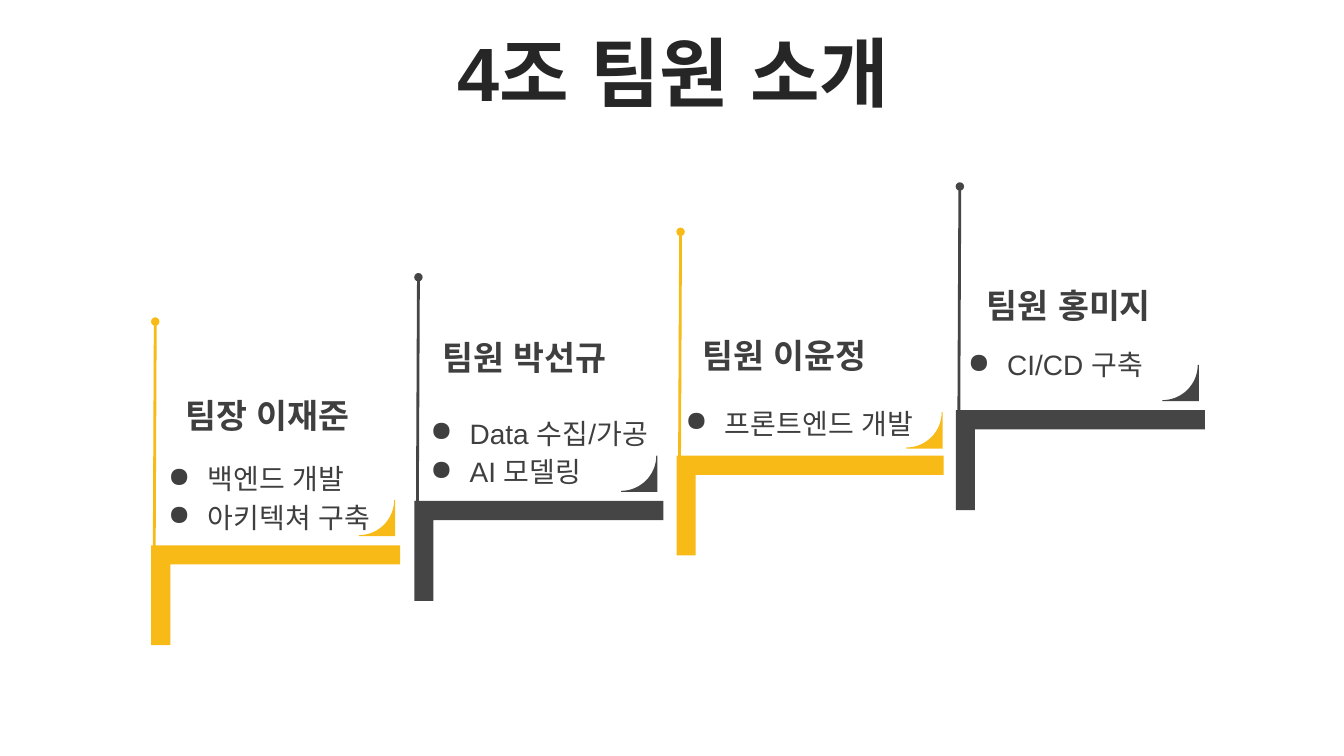
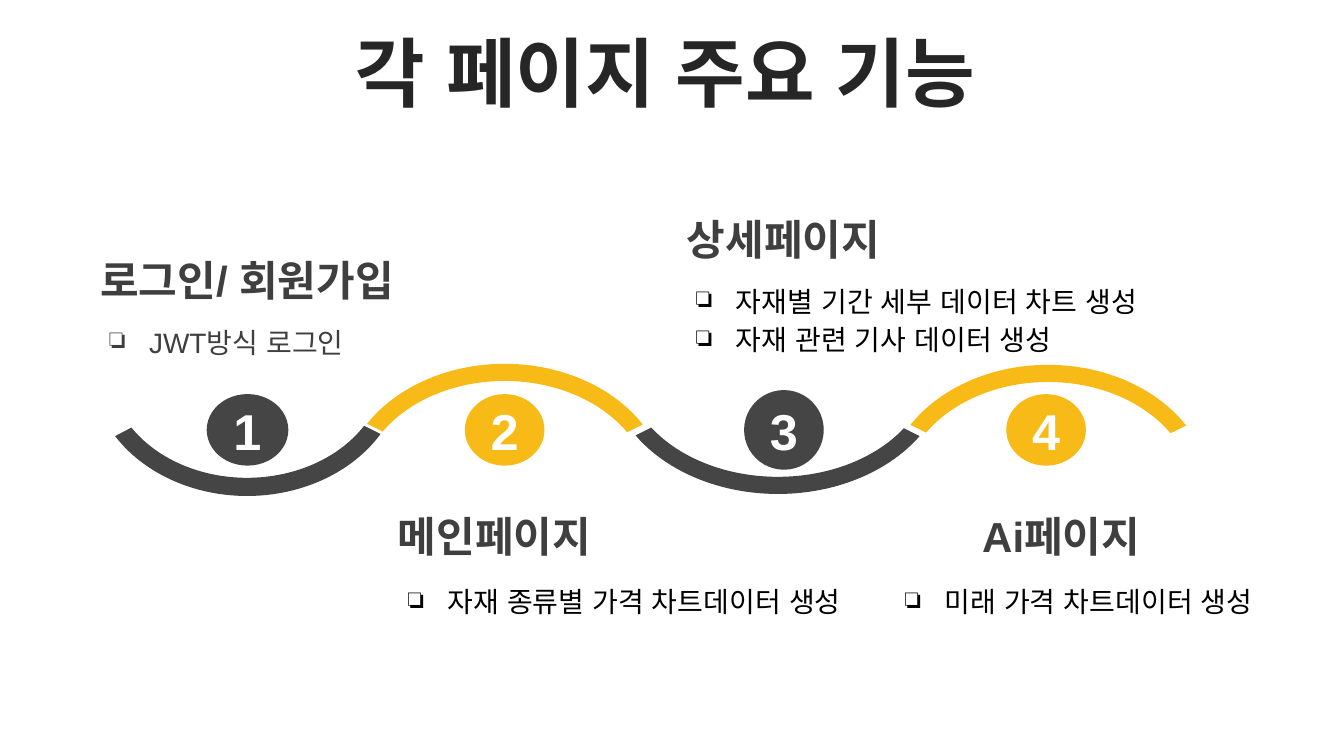
import math
from lxml import etree
from pptx import Presentation
from pptx import util as u
from pptx.dml.color import RGBColor
from pptx.enum import shapes, text
from pptx.oxml import ns

# Shared style: 100 px to the inch
PX = 9144
FONT = "Arial"
GOLD = RGBColor(0xF8, 0xBA, 0x16)
DARK = RGBColor(0x45, 0x45, 0x45)
INK = RGBColor(0x26, 0x26, 0x26)
GRAY = RGBColor(0x3F, 0x3F, 0x3F)
BLACK = RGBColor(0, 0, 0)
WHITE = RGBColor(255, 255, 255)
LEFT, MID = text.PP_ALIGN.LEFT, text.PP_ALIGN.CENTER
FORM = shapes.MSO_SHAPE

# Team steps: colour, step (left, top, width), name, its box, tasks, their box, fold corner
TEAM = [
    (GOLD, (150, 541, 247), "팀장 이재준", (174, 387, 228, 50),
     ["백엔드 개발", "아키텍쳐 구축"], (146, 448, 294, 82), (356, 496)),
    (DARK, (411, 497, 247), "팀원 박선규", (429, 329, 239, 50),
     ["Data 수집/가공", "AI 모델링"], (406, 403, 294, 82), (616, 452)),
    (GOLD, (671, 452, 265), "팀원 이윤정", (687, 327, 228, 50),
     ["프론트엔드 개발"], (659, 393, 309, 48), (899, 409)),
    (DARK, (948, 407, 247), "팀원 홍미지", (969, 278, 228, 50),
     ["CI/CD 구축"], (939, 335, 228, 48), (1153, 362)),
]
STEP, BAR, POLE, FOLD = 99, 19, 222, 35

# Pages: colour, arc box, arc (start, end, thickness), badge box,
# heading, its box, functions, their colour and box
PAGES = [
    (DARK, (90, 236, 310, 256), (124, 199.4, 18), (205, 391, 81, 71),
     "로그인/ 회원가입", (56, 247, 378, 61),
     ["JWT방식 로그인"], GRAY, (88, 313, 464, 44)),
    (GOLD, (339, 361, 323, 256), (124, 200.2, 17), (461, 391, 79, 71),
     "메인페이지", (344, 501, 293, 61),
     ["자재 종류별 가격 차트데이터 생성"], BLACK, (384, 570, 508, 44)),
    (DARK, (603, 234, 337, 256), (124, 200.2, 17), (738, 387, 79, 79),
     "상세페이지", (614, 206, 326, 61),
     ["자재별 기간 세부 데이터 차트 생성", "자재 관련 기사 데이터 생성"],
     BLACK, (670, 272, 540, 83)),
    (GOLD, (878, 362, 323, 256), (124, 200.2, 17), (998, 391, 79, 71),
     "Ai페이지", (918, 501, 269, 61),
     ["미래 가격 차트데이터 생성"], BLACK, (877, 570, 433, 44)),
]


def emu(*vals):
    return [round(v * PX) for v in vals]


def write(par, words, size, color, bold=False):
    run = par.add_run()
    run.text = words
    font = run.font
    font.size, font.bold, font.name = u.Pt(size), bold, FONT
    font.color.rgb = color
    asian = etree.SubElement(run._r.get_or_add_rPr(), ns.qn("a:ea"))
    asian.set("typeface", FONT)


def frame(shape, anchor):
    body = shape.text_frame
    body.word_wrap = True
    body.auto_size = text.MSO_AUTO_SIZE.NONE
    body.vertical_anchor = anchor
    return body


def label(shape, words, size, color, align=MID):
    """One bold line, centred in height."""
    par = frame(shape, text.MSO_ANCHOR.MIDDLE).paragraphs[0]
    par.alignment = align
    write(par, words, size, color, True)
    return par


def start(prs, words, left):
    """New slide with its title."""
    slide = prs.slides.add_slide(prs.slide_layouts[5])
    title = slide.shapes.title
    title.left, title.top, title.width, title.height = emu(left, 37, 1266, 79)
    label(title, words, 54, INK).line_spacing = 0.9
    return slide.shapes


def bullets(tree, items, box, mark, color):
    body = frame(tree.add_textbox(*emu(*box)), text.MSO_ANCHOR.TOP)
    for i, item in enumerate(items):
        par = body.add_paragraph() if i else body.paragraphs[0]
        par.line_spacing = 1.15
        props = par._p.get_or_add_pPr()
        props.set("marL", str(50 * PX))
        props.set("indent", str(-39 * PX))
        etree.SubElement(props, ns.qn("a:buChar")).set("char", mark)
        write(par, item, 20, color)


def paint(shape, color):
    shape.shadow.inherit = False
    shape.fill.solid()
    shape.fill.fore_color.rgb = color
    shape.line.fill.background()


def draw(tree, form, box, color, adj=()):
    shape = tree.add_shape(form, *emu(*box))
    for i, val in enumerate(adj):
        shape.adjustments[i] = val
    paint(shape, color)
    return shape


def pole(tree, left, top, color):
    """Thin line with a round tip."""
    line = tree.add_connector(shapes.MSO_CONNECTOR.STRAIGHT,
                              *emu(left + 3, top + 2, left + 4, top - POLE))
    line.line.color.rgb = color
    line.line.width = u.Pt(2)
    tip = etree.SubElement(line.line._get_or_add_ln(), ns.qn("a:tailEnd"))
    tip.set("type", "oval")
    etree.SubElement(line._element.spPr, ns.qn("a:effectLst"))


def fold(tree, x, y, color):
    """Square corner with a hollow quarter circle cut out."""
    arc = [math.radians(a) for a in range(0, 91, 5)]
    curve = [emu(x + FOLD * math.cos(a), y + FOLD * math.sin(a)) for a in arc]
    end = FOLD + 1
    edge = [emu(x, y + end), emu(x + end, y + end), emu(x + end, y)]
    pen = tree.build_freeform(*curve[0])
    pen.add_line_segments(curve[1:] + edge, close=True)
    paint(pen.convert_to_shape(), color)


def team(prs):
    tree = start(prs, "4조 팀원 소개", 35)
    for color, (left, top, wide), name, spot, tasks, box, nook in TEAM:
        pole(tree, left, top, color)
        bullets(tree, tasks, box, "●", GRAY)
        label(tree.add_textbox(*emu(*spot)), name, 24, GRAY, LEFT)
        step = draw(tree, FORM.CORNER, (left, top, wide, STEP), color,
                    (BAR / STEP, BAR / STEP))
        step._element.spPr.xfrm.set("flipV", "1")
        fold(tree, *nook, color)


def pages(prs):
    tree = start(prs, "각 페이지 주요 기능", 27)
    for num, page in enumerate(PAGES, 1):
        color, bow, (a, b, thick), disc, head, spot, items, ink, box = page
        arc = draw(tree, FORM.BLOCK_ARC, bow, color, (a, b, thick / bow[3]))
        arc.rotation = 180 if num % 2 else 0
        label(draw(tree, FORM.OVAL, disc, color), str(num), 36, WHITE)
        label(tree.add_textbox(*emu(*spot)), head, 30, GRAY)
        bullets(tree, items, box, "❏", ink)


def main():
    prs = Presentation()
    prs.slide_width, prs.slide_height = emu(1333, 750)
    team(prs)
    pages(prs)
    prs.save("out.pptx")


if __name__ == "__main__":
    main()
